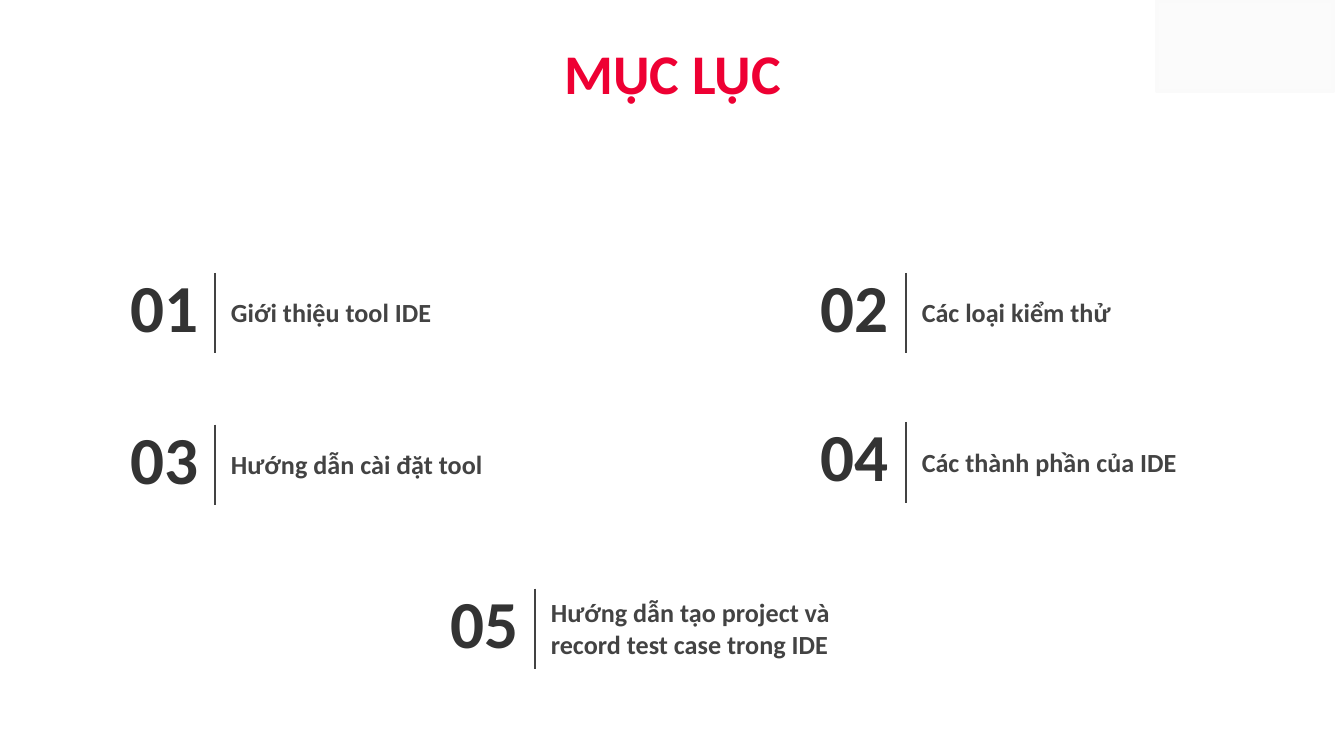
from lxml.etree import SubElement
from pptx import Presentation
from pptx.dml.color import RGBColor
from pptx.enum.shapes import MSO_CONNECTOR, MSO_SHAPE
from pptx.enum.text import MSO_ANCHOR, MSO_AUTO_SIZE, PP_ALIGN
from pptx.oxml.ns import qn
from pptx.util import Inches, Pt

COLORS = {
    "title": "EE0033",
    "number": "333333",
    "label": "434343",
    "divider": "434343",
    "corner": "FBFBFB",
    "corner_edge": "FAFAFA",
}
FONT = "Calibri"

# Left, top, number, label, label width
ENTRIES = [
    (0.87, 1.92, "01", "Giới thiệu tool IDE", 2.52),
    (6.01, 1.92, "02", "Các loại kiểm thử", 2.52),
    (0.87, 3.05, "03", "Hướng dẫn cài đặt tool", 2.72),
    (6.01, 3.03, "04", "Các thành phần của IDE", 2.72),
    (3.25, 4.27, "05", "Hướng dẫn tạo project và record test case trong IDE", 2.72),
]


def rgb(name):
    return RGBColor.from_string(COLORS[name])


def write_text(shape, text, *, size, color, align=PP_ALIGN.LEFT):
    frame = shape.text_frame
    frame.word_wrap = True
    frame.auto_size = MSO_AUTO_SIZE.NONE
    frame.vertical_anchor = MSO_ANCHOR.MIDDLE
    frame.margin_left = frame.margin_right = Inches(0.1)
    frame.margin_top = frame.margin_bottom = Inches(0.1)
    frame.text = text
    paragraph = frame.paragraphs[0]
    paragraph.alignment = align
    font = paragraph.runs[0].font
    font.name, font.size, font.bold = FONT, Pt(size), True
    font.color.rgb = rgb(color)


def place_title(slide, left, top, width, height):
    title = slide.shapes.title
    title.left, title.top = Inches(left), Inches(top)
    title.width, title.height = Inches(width), Inches(height)
    write_text(title, "MỤC LỤC", size=30, color="title", align=PP_ALIGN.CENTER)


def place_corner(slide, left, top, width, height):
    corner = slide.shapes.add_shape(
        MSO_SHAPE.RECTANGLE, Inches(left), Inches(top), Inches(width), Inches(height))
    corner.shadow.inherit = False
    corner.fill.solid()
    corner.fill.fore_color.rgb = rgb("corner")
    corner.line.color.rgb = rgb("corner_edge")
    corner.line.width = Pt(2)


def place_entry(slide, left, top, number, label, label_width):
    parts = slide.shapes.add_group_shape().shapes

    # Label and number
    label_box = parts.add_textbox(
        Inches(left + 0.75), Inches(top + 0.09), Inches(label_width), Inches(0.63))
    write_text(label_box, label, size=14, color="label")
    number_box = parts.add_textbox(
        Inches(left), Inches(top), Inches(0.72), Inches(0.71))
    write_text(number_box, number, size=36, color="number")

    # Divider between them
    divider_x = Inches(left + 0.73)
    divider = parts.add_connector(
        MSO_CONNECTOR.STRAIGHT,
        divider_x, Inches(top + 0.11), divider_x, Inches(top + 0.71))
    divider.line.color.rgb = rgb("divider")
    divider.line.width = Pt(0.75)
    SubElement(divider._element.spPr, qn("a:effectLst"))


def main():
    prs = Presentation()
    # Widescreen, 16:9
    prs.slide_width = Inches(10)
    prs.slide_height = prs.slide_width * 9 // 16
    slide = prs.slides.add_slide(prs.slide_layouts[5])

    place_title(slide, 2.46, 0.02, 5.09, 1.03)
    place_corner(slide, 8.61, 0.01, 1.31, 0.67)
    for entry in ENTRIES:
        place_entry(slide, *entry)

    prs.save("out.pptx")


if __name__ == "__main__":
    main()
